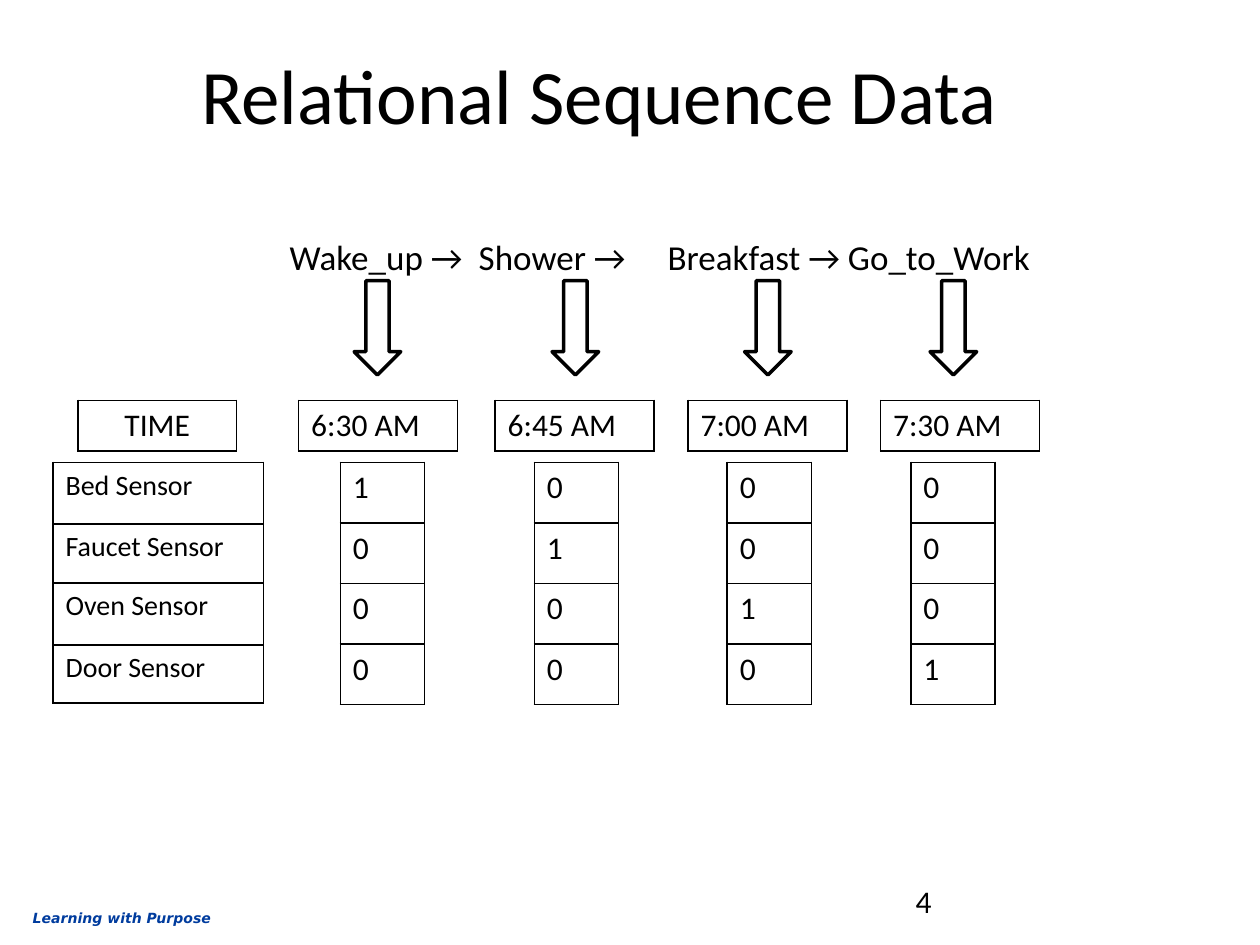
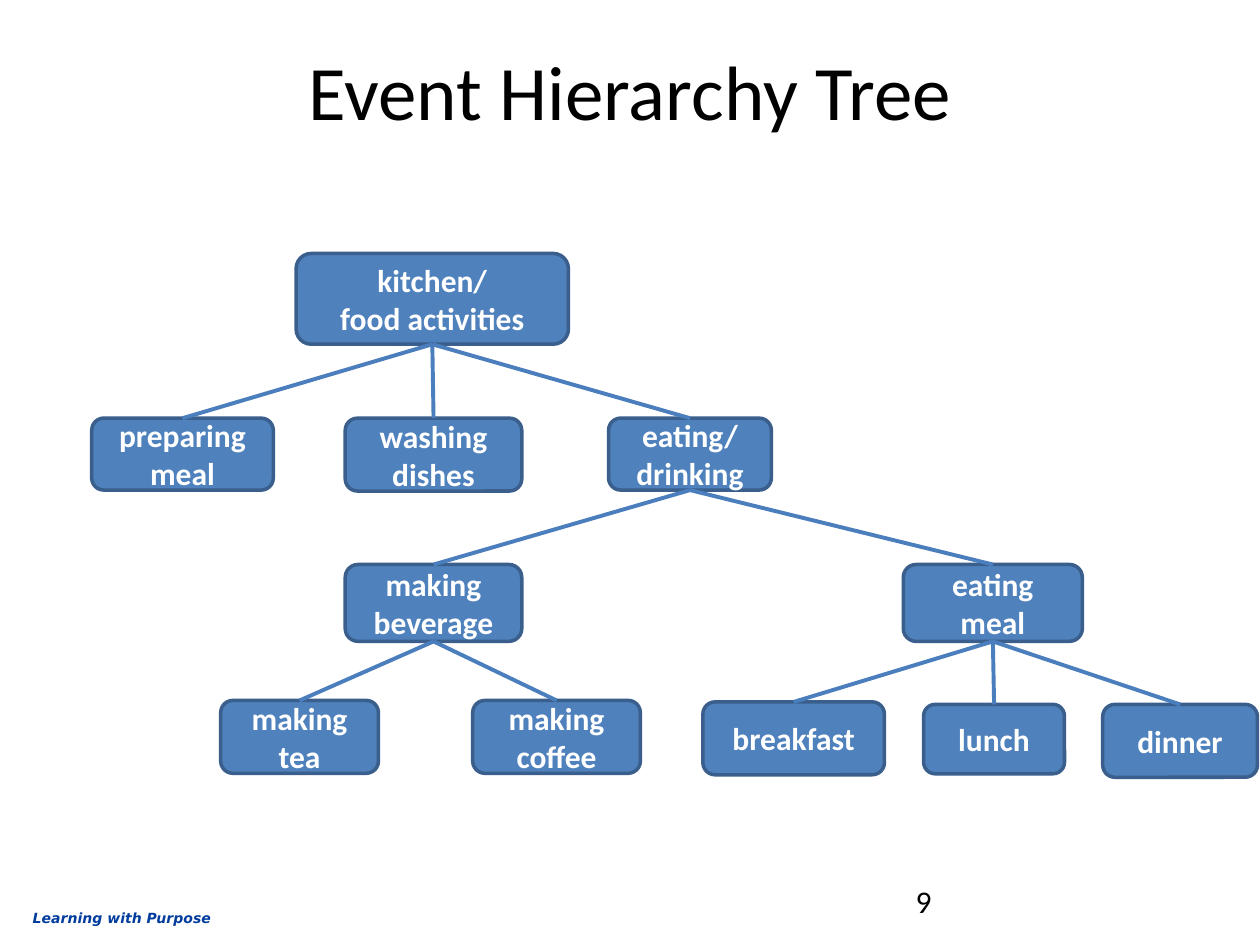
from lxml import etree
from pptx import Presentation
from pptx.dml.color import RGBColor
from pptx.enum.shapes import MSO_CONNECTOR, MSO_SHAPE
from pptx.enum.text import MSO_ANCHOR, MSO_AUTO_SIZE, PP_ALIGN
from pptx.oxml.ns import qn
from pptx.util import Cm, Pt

BLACK = RGBColor(0x00, 0x00, 0x00)
WHITE = RGBColor(0xFF, 0xFF, 0xFF)
FOOTER_BLUE = RGBColor(0x00, 0x3C, 0x9E)
NODE_FILL = RGBColor(0x4F, 0x81, 0xBD)
NODE_LINE = RGBColor(0x3A, 0x5F, 0x8C)
LINK_BLUE = RGBColor(0x4B, 0x7E, 0xBC)

FONT = "Calibri"
FOOTER_FONT = "DejaVu Sans"
LEFT, CENTER = PP_ALIGN.LEFT, PP_ALIGN.CENTER
TOP, MIDDLE = MSO_ANCHOR.TOP, MSO_ANCHOR.MIDDLE
NO_AUTOFIT = MSO_AUTO_SIZE.NONE
DOWN_ARROW = MSO_SHAPE.DOWN_ARROW
ROUNDED = MSO_SHAPE.ROUNDED_RECTANGLE
STRAIGHT = MSO_CONNECTOR.STRAIGHT

TITLE_AND_BODY, TITLE_ONLY = 1, 5
BOTTOM_SITE, TOP_SITE = 2, 0
FOOTER_BOX = (0.41, 18.21, 9.37, 0.61)
NUMBER_BOX = (18.21, 17.65, 5.92, 1.02)

# event time, then left edges of its arrow, time box and readings
EVENTS = [
    ("6:30 AM", 7.14, 6.02, 6.86),
    ("6:45 AM", 11.13, 9.98, 10.77),
    ("7:00 AM", 15.01, 13.87, 14.66),
    ("7:30 AM", 18.75, 17.75, 18.36),
]
SENSORS = ["Bed Sensor", "Faucet Sensor", "Oven Sensor", "Door Sensor"]
SENSOR_HEIGHTS = [1.24, 1.19, 1.25, 1.17]
READING_HEIGHTS = [1.22] * len(SENSORS)
TIME_TOP, TIME_WIDTH, TIME_HEIGHT = 8.07, 3.2, 1.02
GRID_TOP = 9.32

# activity: (parent, lines, box)
ACTIVITIES = {
    "kitchen": (None, ["kitchen/", "food activities"], (5.97, 5.11, 5.49, 1.83)),
    "preparing": ("kitchen", ["preparing meal"], (1.85, 8.43, 3.66, 1.45)),
    "washing": ("kitchen", ["washing dishes"], (6.96, 8.43, 3.56, 1.47)),
    "eating": ("kitchen", ["eating/", "drinking"], (12.27, 8.43, 3.28, 1.45)),
    "beverage": ("eating", ["making", "beverage"], (6.96, 11.38, 3.56, 1.55)),
    "meal": ("eating", ["eating", "meal"], (18.21, 11.38, 3.61, 1.55)),
    "tea": ("beverage", ["making tea"], (4.45, 14.12, 3.18, 1.47)),
    "coffee": ("beverage", ["making", "coffee"], (9.53, 14.12, 3.38, 1.47)),
    "breakfast": ("meal", ["breakfast"], (14.17, 14.15, 3.66, 1.47)),
    "lunch": ("meal", ["lunch"], (18.62, 14.2, 2.84, 1.4)),
    "dinner": ("meal", ["dinner"], (22.23, 14.2, 3.12, 1.47)),
}


def lengths(box):
    return [Cm(value) for value in box]


class Deck:
    """Holds the shared style and the slide being filled."""

    def __init__(self):
        self.prs = Presentation()
        self.prs.slide_width, self.prs.slide_height = Cm(25.4), Cm(19.05)
        self.slide = None

    def add_text(self, paragraph, text, size, color=BLACK, bold=False,
                 italic=False, font=FONT, align=LEFT):
        paragraph.alignment = align
        run = paragraph.add_run()
        run.text = text
        run.font.size, run.font.name = Pt(size), font
        run.font.bold, run.font.italic = bold, italic
        run.font.color.rgb = color

    def place(self, placeholder, box):
        (placeholder.left, placeholder.top,
         placeholder.width, placeholder.height) = lengths(box)
        frame = placeholder.text_frame
        frame.auto_size, frame.vertical_anchor = NO_AUTOFIT, TOP
        return frame

    def new_slide(self, layout, title, title_box, number):
        self.slide = self.prs.slides.add_slide(self.prs.slide_layouts[layout])
        self.label(FOOTER_BOX, "Learning with Purpose", 8, color=FOOTER_BLUE,
                   bold=True, italic=True, font=FOOTER_FONT)
        heading = self.place(self.slide.shapes.title, title_box)
        self.add_text(heading.paragraphs[0], title, 44, align=CENTER)
        self.label(NUMBER_BOX, number, 18)

    def label(self, box, text, size, **style):
        frame = self.slide.shapes.add_textbox(*lengths(box)).text_frame
        frame.word_wrap = True
        self.add_text(frame.paragraphs[0], text, size, **style)

    def body(self, box, text, tab_stops):
        """Fill the body placeholder with one unbulleted, tabbed line."""
        frame = self.place(self.slide.placeholders[1], box)
        frame.margin_left = Cm(0.71)
        paragraph = frame.paragraphs[0]
        properties = paragraph._p.get_or_add_pPr()
        properties.set("marL", "0")
        properties.set("indent", "0")
        etree.SubElement(properties, qn("a:buNone"))
        tabs = etree.SubElement(properties, qn("a:tabLst"))
        for stop in tab_stops:
            etree.SubElement(tabs, qn("a:tab"), pos=str(Cm(stop)), algn="l")
        paragraph.space_before, paragraph.space_after = Pt(0), Pt(30)
        self.add_text(paragraph, text, 20)

    def shape(self, kind, box, fill, line):
        shape = self.slide.shapes.add_shape(kind, *lengths(box))
        shape.shadow.inherit = False
        shape.fill.solid()
        shape.fill.fore_color.rgb = fill
        shape.line.color.rgb = line
        shape.line.width = Pt(2)
        return shape

    def node(self, lines, box):
        node = self.shape(ROUNDED, box, NODE_FILL, NODE_LINE)
        frame = node.text_frame
        frame.word_wrap, frame.vertical_anchor = True, MIDDLE
        for index, line in enumerate(lines):
            paragraph = frame.add_paragraph() if index else frame.paragraphs[0]
            self.add_text(paragraph, line, 18, WHITE, bold=True, align=CENTER)
        return node

    def link(self, parent, child):
        link = self.slide.shapes.add_connector(STRAIGHT, 0, 0, 0, 0)
        link.begin_connect(parent, BOTTOM_SITE)
        link.end_connect(child, TOP_SITE)
        link.line.color.rgb = LINK_BLUE
        link.line.width = Pt(2.25)
        etree.SubElement(link._element.spPr, qn("a:effectLst"))

    def column(self, left, top, width, heights, texts, size=18, align=LEFT):
        """Add a one-column table with a black grid."""
        box = lengths((left, top, width, sum(heights)))
        table = self.slide.shapes.add_table(len(texts), 1, *box).table
        table.first_row = table.horz_banding = False
        for index, (height, text) in enumerate(zip(heights, texts)):
            table.rows[index].height = Cm(height)
            cell = table.cell(index, 0)
            cell.fill.background()
            self.outline(cell)
            self.add_text(cell.text_frame.paragraphs[0], text, size, align=align)

    def outline(self, cell):
        properties = cell._tc.get_or_add_tcPr()
        for index, side in enumerate(("a:lnL", "a:lnR", "a:lnT", "a:lnB")):
            border = etree.Element(qn(side), w=str(Pt(1)))
            fill = etree.SubElement(border, qn("a:solidFill"))
            etree.SubElement(fill, qn("a:srgbClr"), val=str(BLACK))
            properties.insert(index, border)


def sequence_slide(deck):
    deck.new_slide(TITLE_AND_BODY, "Relational Sequence Data",
                   (1.6, 0.84, 20.96, 3.61), "4")
    deck.body((5.13, 4.62, 20.2, 12.17),
              "Wake_up →\tShower →\tBreakfast → Go_to_Work", (3.83, 7.11))
    for index, (time, arrow_left, time_left, readings_left) in enumerate(EVENTS):
        deck.shape(DOWN_ARROW, (arrow_left, 5.66, 0.94, 1.9), WHITE, BLACK)
        deck.column(time_left, TIME_TOP, TIME_WIDTH, [TIME_HEIGHT], [time])
        readings = [str(int(row == index)) for row in range(len(SENSORS))]
        deck.column(readings_left, GRID_TOP, 1.7, READING_HEIGHTS, readings)
    deck.column(1.07, GRID_TOP, 4.24, SENSOR_HEIGHTS, SENSORS, size=16)
    deck.column(1.57, TIME_TOP, TIME_WIDTH, [TIME_HEIGHT], ["TIME"], align=CENTER)


def hierarchy_slide(deck):
    deck.new_slide(TITLE_ONLY, "Event Hierarchy Tree",
                   (1.27, 0.76, 22.86, 3.18), "9")
    nodes = {name: deck.node(lines, box)
             for name, (_, lines, box) in ACTIVITIES.items()}
    for name, (parent, _, _) in ACTIVITIES.items():
        if parent:
            deck.link(nodes[parent], nodes[name])


def main():
    deck = Deck()
    sequence_slide(deck)
    hierarchy_slide(deck)
    deck.prs.save("out.pptx")


if __name__ == "__main__":
    main()
